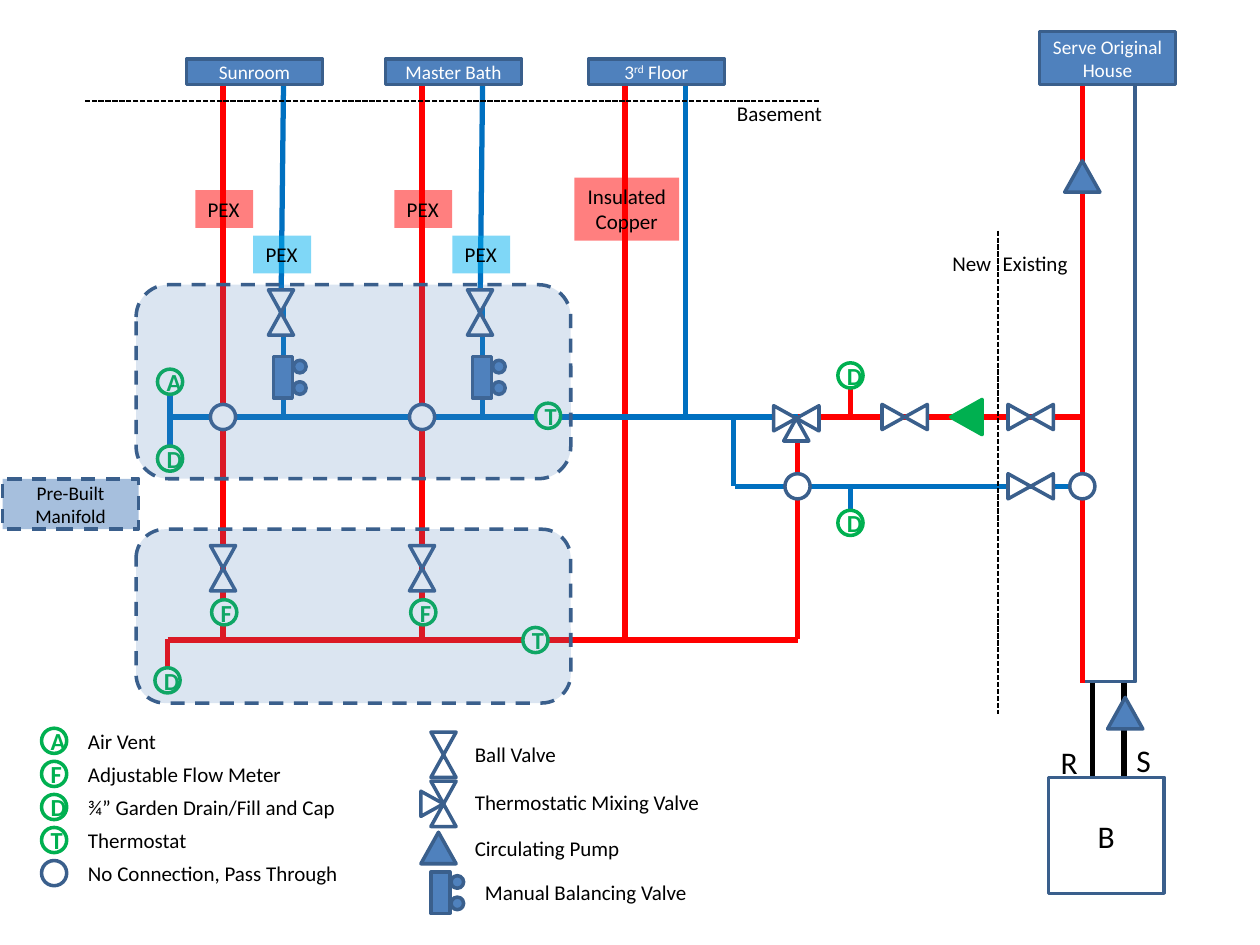
from pptx import Presentation
from pptx import util as u
from pptx.dml.color import RGBColor
from pptx.enum import dml, shapes, text
from pptx.oxml import parse_xml
from pptx.oxml.ns import qn
from lxml import etree

RED, BLUE, NAVY, FILL = "FF0000", "0070C0", "3A5F8C", "4F81BD"
GREEN, SKY, BLACK, WHITE = "00B050", "00B0F0", "000000", "FFFFFF"
NS = "http://schemas.openxmlformats.org/drawingml/2006/main"
KIND = shapes.MSO_SHAPE
DASH = dml.MSO_LINE
MID, TOP = text.MSO_ANCHOR.MIDDLE, text.MSO_ANCHOR.TOP

BRANCHES = [("Sunroom", 1.77), ("Master Bath", 3.35)]
MAINS = [
    (BLUE, 5.83, 3.86, 8.49, 3.86), (BLUE, 5.44, 3.31, 6.33, 3.31),
    (RED, 6.33, 3.31, 6.33, 5.07), (RED, 6.33, 3.31, 8.6, 3.31),
    (BLACK, 8.67, 5.42, 8.67, 6.17), (BLACK, 8.92, 5.42, 8.92, 6.17),
    (RED, 1.33, 5.08, 6.33, 5.08), (BLUE, 5.44, 0.67, 5.44, 3.32),
    (RED, 4.96, 0.67, 4.96, 5.07), (RED, 8.59, 5.42, 8.59, 0.68),
    (BLUE, 1.35, 3.08, 1.35, 3.55), (BLUE, 1.35, 3.31, 5.63, 3.31),
    (RED, 1.33, 5.07, 1.33, 5.3), (RED, 6.75, 3.08, 6.75, 3.3),
    (BLUE, 6.75, 3.86, 6.75, 4.05), (BLUE, 5.82, 3.32, 5.82, 3.86)]
BORDERS = [(7.92, 1.83, 7.92, 5.67), (6.5, 0.8, 0.66, 0.8)]
RINGS = [("T", 4.25, 5.08), ("D", 1.33, 5.4), ("A", 1.35, 3.03),
         ("D", 1.35, 3.64), ("T", 4.35, 3.3), ("D", 6.75, 4.15),
         ("D", 6.75, 2.98), ("", 8.59, 3.86)]
VALVES = [(8.18, 3.31), (7.18, 3.31), (8.18, 3.86)]
PUMPS = [(8.93, 5.66), (8.59, 1.4), (3.48, 6.73)]
ZONES = [(1.08, 4.2, 3.45, 1.38), (1.08, 2.26, 3.45, 1.54)]
KEYS = [("A", "Air Vent"), ("F", "Adjustable Flow Meter"),
        ("D", "¾” Garden Drain/Fill and Cap"), ("T", "Thermostat"),
        ("", "No Connection, Pass Through")]
LABELS = [
    ("S", 8.92, 5.83, 0.32, 18), ("R", 8.32, 5.85, 0.34, 18),
    ("Existing", 7.86, 1.94, 0.72, 12), ("New", 7.46, 1.94, 0.51, 12),
    ("Basement", 5.75, 0.75, 0.89, 12), ("Ball Valve", 3.67, 5.84, 0.85, 12),
    ("Thermostatic Mixing Valve", 3.67, 6.22, 2, 12),
    ("Circulating Pump", 3.67, 6.58, 1.36, 12),
    ("Manual Balancing Valve", 3.75, 6.93, 1.88, 12)]

deck = Presentation()
deck.slide_width, deck.slide_height = u.Inches(10), u.Inches(7.5)
page = deck.slides.add_slide(deck.slide_layouts[6]).shapes


def inch(*nums):
    return [u.Inches(n) for n in nums]


def paint(fmt, hue, clear=None):
    fmt.solid()
    fmt.fore_color.rgb = RGBColor.from_string(hue)
    if clear:
        node = fmt._xPr.find(qn("a:solidFill"))[0]
        etree.SubElement(node, qn("a:alpha")).set("val", str(clear * 1000))


def write(shape, lines, size, hue, bold=False, anchor=MID, center=True):
    frame = shape.text_frame
    frame.vertical_anchor = anchor
    for i, line in enumerate(lines):
        para = frame.add_paragraph() if i else frame.paragraphs[0]
        para.alignment = text.PP_ALIGN.CENTER if center else text.PP_ALIGN.LEFT
        for part in line if isinstance(line, tuple) else (line,):
            run = para.add_run()
            run.text = part
            run.font.name, run.font.size = "Calibri", u.Pt(size)
            run.font.bold = bold
            run.font.color.rgb = RGBColor.from_string(hue)
            if part == "rd":
                run.font._element.set("baseline", "30000")
    return frame


def form(kind, x, y, w, h, fill=WHITE, edge=NAVY, clear=None, dash=False,
         turn=0, home=page):
    shape = home.add_shape(kind, *inch(x, y, w, h))
    shape.shadow.inherit = False
    shape.rotation = turn
    if fill:
        paint(shape.fill, fill, clear)
    else:
        shape.fill.background()
    if edge:
        paint(shape.line.fill, edge)
        shape.line.width = u.Pt(2)
        if dash:
            shape.line.dash_style = DASH.DASH
    else:
        shape.line.fill.background()
    return shape


def pipe(hue, x1, y1, x2, y2, width=3, dash=None):
    line = page.add_connector(shapes.MSO_CONNECTOR.STRAIGHT, *inch(x1, y1, x2, y2))
    paint(line.line.fill, hue)
    line.line.width = u.Pt(width)
    if dash:
        line.line.dash_style = dash
    line._element.spPr.append(parse_xml(f'<a:effectLst xmlns:a="{NS}"/>'))


def ring(mark, x, y):
    shape = form(KIND.FLOWCHART_CONNECTOR, x - 0.1, y - 0.1, 0.2, 0.2,
                 edge=GREEN if mark else NAVY)
    if mark:
        write(shape, [mark], 14, GREEN, True)


def valve(x, y, sides):
    group = page.add_group_shape().shapes
    turns = {"D": (0, 0.09, 0), "U": (0, -0.09, 180),
             "L": (-0.09, 0, 90), "R": (0.09, 0, 270)}
    for side in sides:
        dx, dy, turn = turns[side]
        form(KIND.ISOSCELES_TRIANGLE, x + dx - 0.1, y + dy - 0.09, 0.2, 0.18,
             turn=turn, home=group)


def pump(x, y, fill=FILL, edge=NAVY, turn=0):
    form(KIND.ISOSCELES_TRIANGLE, x - 0.14, y - 0.125, 0.28, 0.25, fill, edge, turn=turn)


def gauge(x, y):
    group = page.add_group_shape().shapes
    form(KIND.RECTANGLE, x, y, 0.15, 0.33, FILL, home=group)
    for drop in (0.03, 0.2):
        form(KIND.FLOWCHART_CONNECTOR, x + 0.16, y + drop, 0.1, 0.1, FILL, home=group)


def room(lines, x, y, h):
    write(form(KIND.RECTANGLE, x, y, 1.08, h, FILL), lines, 11, WHITE)


def tag(lines, x, y, w, h, hue, center=False):
    shape = form(KIND.RECTANGLE, x, y, w, h, hue, None, 50)
    frame = write(shape, lines, 12, BLACK, anchor=TOP, center=center)
    frame.auto_size = text.MSO_AUTO_SIZE.SHAPE_TO_FIT_TEXT


def label(words, x, y, w, size):
    shape = page.add_textbox(*inch(x, y, w, 0.4 if size == 18 else 0.3))
    frame = write(shape, [words], size, BLACK, anchor=TOP, center=False)
    frame.word_wrap = False
    frame.auto_size = text.MSO_AUTO_SIZE.SHAPE_TO_FIT_TEXT


form(KIND.RECTANGLE, 8.59, 0.33, 0.42, 5.08, None)
for name, x in BRANCHES:
    pipe(RED, x, 0.67, x, 4.51)
    pipe(RED, x, 4.51, x, 5.08)
    pipe(BLUE, x + 0.48, 0.67, x + 0.46, 2.48)
    pipe(BLUE, x + 0.48, 2.32, x + 0.48, 3.3)
for run in MAINS:
    pipe(*run)

write(form(KIND.RECTANGLE, 8.32, 6.17, 0.92, 0.92, None), ["B"], 18, BLACK)
room(["Serve Original House"], 8.25, 0.25, 0.42)
room([("3", "rd", " Floor")], 4.67, 0.47, 0.2)
for name, x in BRANCHES:
    room([name], x - 0.29, 0.47, 0.2)
    tag(["PEX"], x - 0.22, 1.51, 0.46, 0.3, RED)
    tag(["PEX"], x + 0.24, 1.87, 0.46, 0.3, SKY)
    valve(x, 4.51, "DU")
    valve(x + 0.46, 2.48, "DU")
    gauge(x + 0.4, 2.83)
    ring("F", x + 0.01, 4.86)
    ring("", x, 3.31)
tag(["Insulated", "Copper"], 4.56, 1.41, 0.83, 0.5, RED, True)
write(form(KIND.RECTANGLE, 0.02, 3.8, 1.08, 0.4, FILL, clear=50, dash=True),
      ["Pre-Built Manifold"], 11, BLACK)

for spot in RINGS:
    ring(*spot)
for spot in VALVES:
    valve(*spot, "LR")
for spot in PUMPS:
    pump(*spot)
pump(7.67, 3.31, GREEN, GREEN, 270)
for zone in ZONES:
    form(KIND.ROUNDED_RECTANGLE, *zone, FILL, clear=20, dash=True)
valve(6.32, 3.32, "RLD")
ring("", 6.33, 3.86)
for edge in BORDERS:
    pipe(BLACK, *edge, 1, DASH.SQUARE_DOT)

for i, (mark, words) in enumerate(KEYS):
    y = 5.88 + i * 0.2625
    ring(mark, 0.43, y)
    label(words, 0.6, y - 0.15, 2.2, 12)
valve(3.52, 5.99, "DU")
valve(3.52, 6.38, "DUL")
gauge(3.42, 6.92)
for item in LABELS:
    label(*item)
deck.save("out.pptx")
